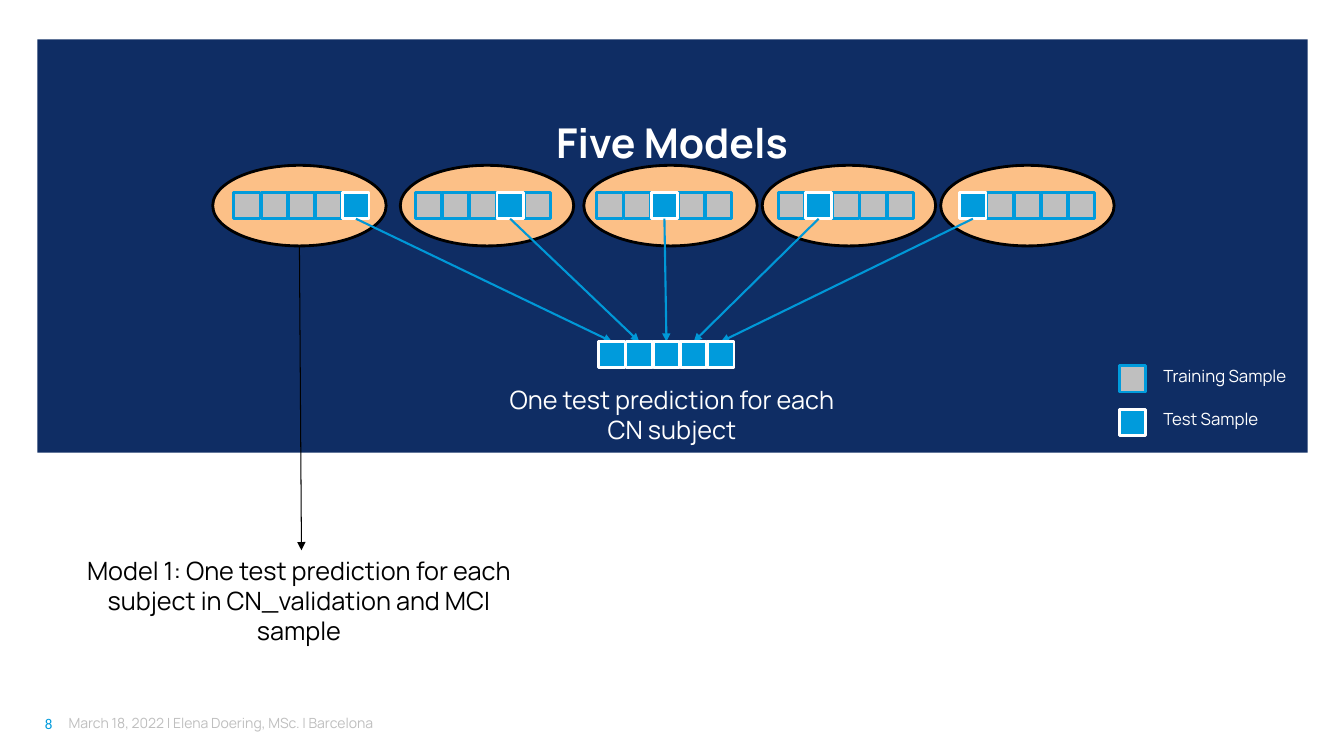
from lxml import etree
from pptx import Presentation
from pptx import util as u
from pptx.dml.color import RGBColor
from pptx.enum import shapes, text
from pptx.oxml.ns import qn

NAVY = RGBColor(0x0F, 0x2D, 0x64)
PEACH = RGBColor(0xFC, 0xC0, 0x87)
BLUE = RGBColor(0x00, 0x9B, 0xDC)
ARROW_BLUE = RGBColor(0x00, 0x98, 0xD7)
GREY = RGBColor(0xBF, 0xBF, 0xBF)
WHITE = RGBColor(0xFF, 0xFF, 0xFF)
BLACK = RGBColor(0, 0, 0)

RECT = shapes.MSO_SHAPE.RECTANGLE
OVAL = shapes.MSO_SHAPE.OVAL
LEFT, CENTER, RIGHT = text.PP_ALIGN.LEFT, text.PP_ALIGN.CENTER, text.PP_ALIGN.RIGHT
TOP, BOTTOM = text.MSO_ANCHOR.TOP, text.MSO_ANCHOR.BOTTOM

FOLDS = 5
CELL = 0.26
CELL_STEP = 0.27
ROW_STEP = 1.8
MODEL_LEFTS = (2.11, 3.97, 5.79, 7.56, 9.33)
MODEL_W, MODEL_H = 1.72, 0.8


def inches(*lengths):
    return [u.Inches(length) for length in lengths]


def add_block(slide, kind, box, fill, line=None):
    block = slide.shapes.add_shape(kind, *inches(*box))
    block.shadow.inherit = False
    block.fill.solid()
    block.fill.fore_color.rgb = fill
    if line is None:
        block.line.fill.background()
    else:
        block.line.color.rgb = line
        block.line.width = u.Pt(2)


def add_sample(slide, left, top, is_test):
    fill, line = (BLUE, WHITE) if is_test else (GREY, BLUE)
    add_block(slide, RECT, (left, top, CELL, CELL), fill, line)


def add_label(slide, box, words, size, color, align=LEFT, font="Manrope",
              bold=False, anchor=TOP, insets=(0.1, 0.05, 0.1, 0.05)):
    frame = slide.shapes.add_textbox(*inches(*box)).text_frame
    frame.word_wrap = True
    frame.vertical_anchor = anchor
    (frame.margin_left, frame.margin_top,
     frame.margin_right, frame.margin_bottom) = inches(*insets)
    paragraph = frame.paragraphs[0]
    paragraph.alignment = align
    run = paragraph.add_run()
    run.text = words
    run.font.name = font
    run.font.size = u.Pt(size)
    run.font.bold = bold
    run.font.color.rgb = color


def add_arrow(slide, start, end, color, width):
    arrow = slide.shapes.add_connector(
        shapes.MSO_CONNECTOR.STRAIGHT, *inches(*start, *end))
    arrow.line.color.rgb = color
    arrow.line.width = u.Pt(width)
    etree.SubElement(arrow.line._get_or_add_ln(), qn("a:tailEnd"), type="triangle")
    etree.SubElement(arrow._element.spPr, qn("a:effectLst"))


def footer(slide, left, top, height):
    add_label(slide, (left, top, 0.53, height), "8", 10.7, BLUE, RIGHT,
              font="Calibri", insets=(0, 0.09, 0.01, 0))
    add_label(slide, (left + 0.68, top, 8.92, height),
              "March 18, 2022 | Elena Doering, MSc. | Barcelona", 10, GREY,
              insets=(0, 0.09, 0, 0))


def models(slide, left, top, predictions_left, predictions_top):
    for model_left in MODEL_LEFTS:
        add_block(slide, OVAL, (model_left, top, MODEL_W, MODEL_H), PEACH, BLACK)
    row_top = top + 0.27
    for model in range(FOLDS):
        row_left = left + 0.21 + model * ROW_STEP
        test_fold = FOLDS - 1 - model
        for fold in sorted(range(FOLDS), key=lambda fold: fold == test_fold):
            add_sample(slide, row_left + fold * CELL_STEP, row_top, fold == test_fold)
        test_center = row_left + test_fold * CELL_STEP + CELL / 2
        prediction_center = predictions_left + model * CELL_STEP + CELL / 2
        add_arrow(slide, (test_center, row_top + CELL),
                  (prediction_center, predictions_top), ARROW_BLUE, 1.5)


def predictions(slide, left, top):
    for fold in range(FOLDS):
        add_sample(slide, left + fold * CELL_STEP, top, True)
    add_label(slide, (left - 1.01, top + 0.37, 3.47, 0.71),
              "One test prediction for each CN subject", 18, WHITE, CENTER)


def legend(slide, left, top):
    for row, (name, is_test) in enumerate((("Training Sample", False),
                                           ("Test Sample", True))):
        row_top = top + row * 0.43
        add_sample(slide, left, row_top + 0.05, is_test)
        add_label(slide, (left + 0.34, row_top, 1.49, 0.3), name, 12, WHITE)


def model_note(slide, left, top, model_bottom):
    add_arrow(slide, (left + 2.31, model_bottom), (left + 2.33, top), BLACK, 0.75)
    add_label(slide, (left, top, 4.61, 1.01),
              "Model 1: One test prediction for each subject in CN_validation "
              "and MCI sample", 18, BLACK, CENTER)


def five_models_slide(deck):
    slide = deck.slides.add_slide(deck.slide_layouts[6])
    footer(slide, 0, 7, 0.31)
    add_block(slide, RECT, (0.37, 0.39, 12.6, 4.1), NAVY)
    add_label(slide, (0.68, 0.71, 11.97, 0.94), "Five Models", 29.3, WHITE, CENTER,
              bold=True, anchor=BOTTOM, insets=(0, 0, 0, 0))
    models(slide, MODEL_LEFTS[0], 1.64, 5.94, 3.39)
    predictions(slide, 5.94, 3.39)
    legend(slide, 11.1, 3.58)
    model_note(slide, 0.66, 5.46, 1.64 + MODEL_H)


def main():
    deck = Presentation()
    deck.slide_width, deck.slide_height = inches(13.33, 7.5)
    five_models_slide(deck)
    deck.save("out.pptx")


if __name__ == "__main__":
    main()
